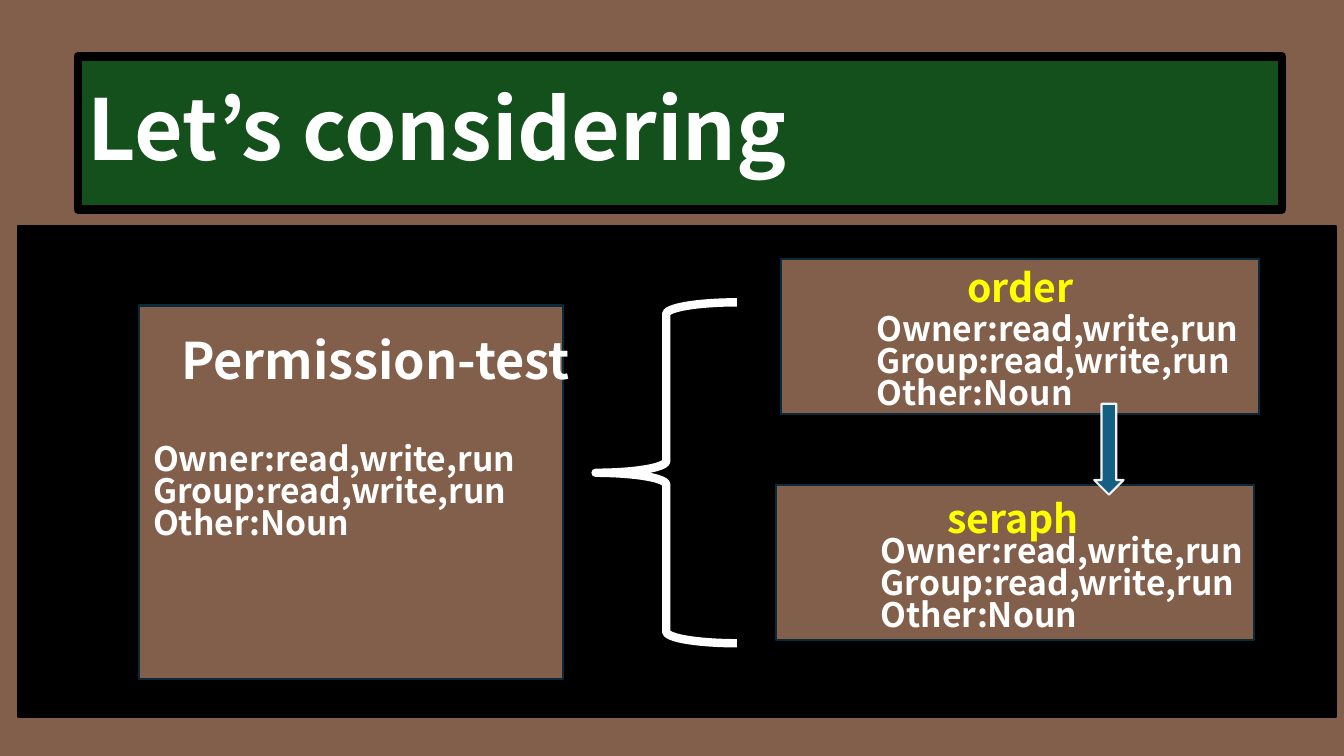
"""Build the slide on folder permissions for order and seraph."""
from dataclasses import dataclass

from pptx import Presentation
from pptx import util as u
from pptx.dml.color import RGBColor
from pptx.enum import shapes, text

FONT = "Noto Sans CJK JP"
BROWN, BLACK, WHITE, YELLOW = "825F4A", "000000", "FFFFFF", "FFFF00"
CARD_EDGE = "092A39"
RIGHTS = "Owner:read,write,run\nGroup:read,write,run\nOther:Noun"
RECT = shapes.MSO_SHAPE.RECTANGLE


@dataclass
class Box:
    left: float
    top: float
    width: float
    height: float

    def lengths(self) -> list[u.Length]:
        """Give the four sides as lengths."""
        return [u.Cm(side) for side in (self.left, self.top, self.width, self.height)]


@dataclass
class Card:
    frame: Box
    heading: str
    heading_box: Box
    rights_box: Box
    size: int = 28
    color: str = YELLOW
    centered: bool = True


CARDS = [
    Card(Box(3.51, 7.7, 10.67, 9.42), "Permission-test", Box(4.32, 7.7, 11.5, 2.9),
         Box(3.61, 11, 11, 2.9), size=36, color=WHITE, centered=False),
    Card(Box(19.69, 6.53, 12.04, 3.91), "order", Box(19.69, 6.35, 12.04, 1.88),
         Box(21.84, 7.72, 11, 2.9)),
    Card(Box(19.56, 12.22, 12.04, 3.91), "seraph", Box(19.51, 12.19, 12.04, 1.88),
         Box(21.95, 13.31, 11, 2.9)),
]


def rgb(value: str) -> RGBColor:
    """Turn a hex string into a colour."""
    return RGBColor.from_string(value)


def add_figure(slide, kind, box: Box, fill: str | None, edge: str,
               weight: float = 1.5, rotation: float = 0) -> None:
    """Draw a preset shape with an outline and an optional fill."""
    figure = slide.shapes.add_shape(kind, *box.lengths())
    figure.shadow.inherit = False
    figure.rotation = rotation
    if fill:
        figure.fill.solid()
        figure.fill.fore_color.rgb = rgb(fill)
    else:
        figure.fill.background()
    figure.line.color.rgb = rgb(edge)
    figure.line.width = u.Pt(weight)


def add_text(slide, words: str, box: Box, *, size: int, color: str = WHITE,
             spacing: float = 0.9, centered: bool = False) -> None:
    """Write bold, vertically centred text with one paragraph per line."""
    frame = slide.shapes.add_textbox(*box.lengths()).text_frame
    frame.word_wrap = True
    frame.vertical_anchor = text.MSO_ANCHOR.MIDDLE
    frame.text = words
    for paragraph in frame.paragraphs:
        paragraph.line_spacing = spacing
        paragraph.alignment = text.PP_ALIGN.CENTER if centered else text.PP_ALIGN.LEFT
        for run in paragraph.runs:
            run.font.name = FONT
            run.font.size = u.Pt(size)
            run.font.bold = True
            run.font.color.rgb = rgb(color)


def add_card(slide, card: Card) -> None:
    """Draw a card with its heading and access rights."""
    add_figure(slide, RECT, card.frame, BROWN, CARD_EDGE)
    add_text(slide, card.heading, card.heading_box, size=card.size,
             color=card.color, centered=card.centered)
    add_text(slide, RIGHTS, card.rights_box, size=24, spacing=0.8)


def main() -> None:
    """Build and save the presentation."""
    deck = Presentation()
    deck.slide_width, deck.slide_height = u.Cm(33.87), u.Cm(19.05)
    slide = deck.slides.add_slide(deck.slide_layouts[6])
    slide.background.fill.solid()
    slide.background.fill.fore_color.rgb = rgb(BROWN)

    add_figure(slide, RECT, Box(1.96, 1.42, 30.35, 3.86), "13501B", BLACK, weight=6)
    add_text(slide, "Let’s considering", Box(1.96, 1.91, 21.95, 2.9), size=60)
    add_figure(slide, RECT, Box(0.46, 5.69, 33.2, 12.37), BLACK, BLACK)
    for card in CARDS:
        add_card(slide, card)
    add_figure(slide, shapes.MSO_SHAPE.LEFT_BRACE, Box(15.01, 7.62, 3.56, 8.59),
               None, WHITE, weight=6)
    add_figure(slide, shapes.MSO_SHAPE.RIGHT_ARROW, Box(26.8, 10.95, 2.29, 0.74),
               "156082", "F2F2F2", rotation=90)
    deck.save("out.pptx")


if __name__ == "__main__":
    main()
